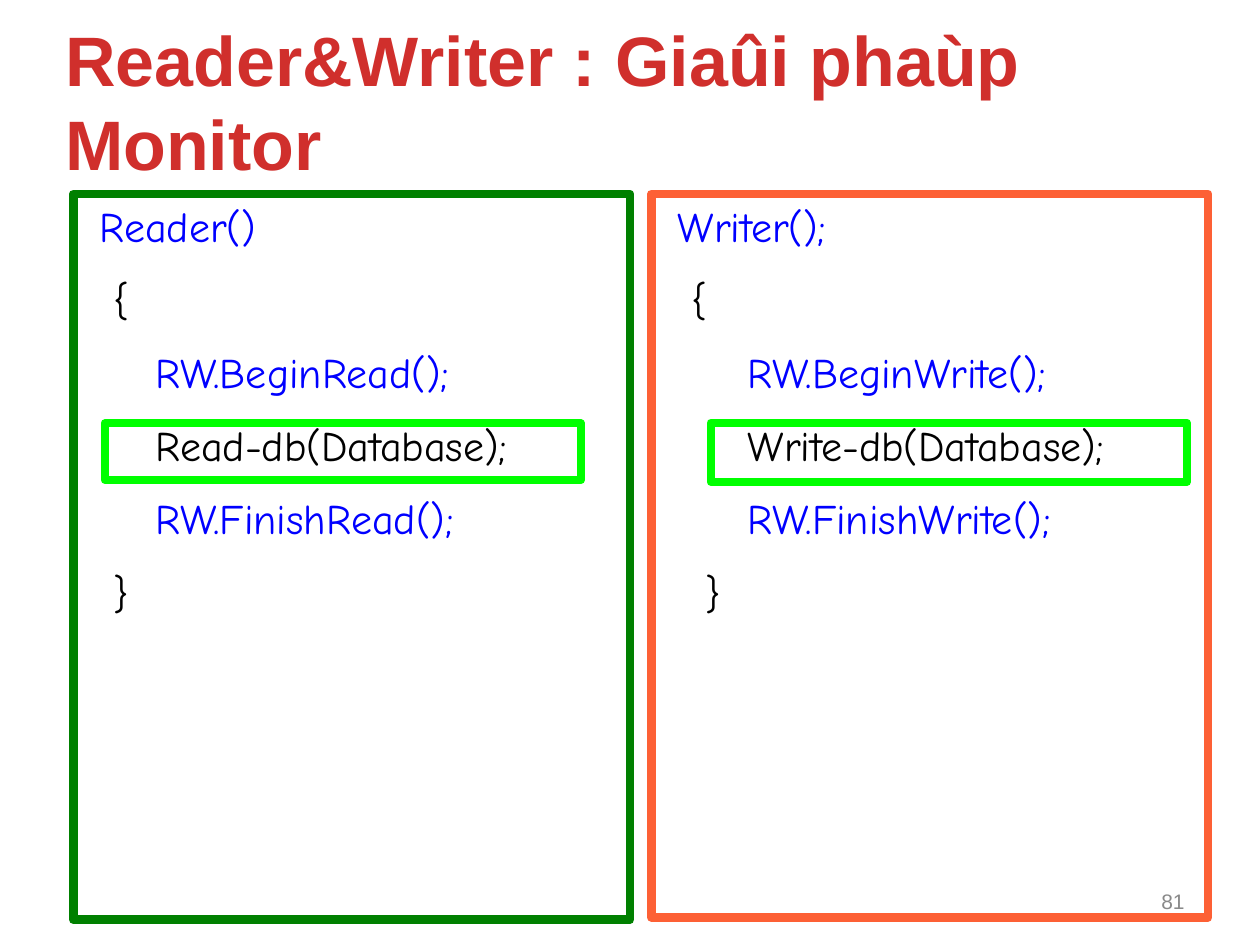
from pptx import Presentation
from pptx.dml.color import RGBColor
from pptx.enum import shapes, text
from pptx.util import Pt

RED = RGBColor(0xD0, 0x2F, 0x2C)
GREEN = RGBColor(0x00, 0x80, 0x00)
ORANGE = RGBColor(0xFD, 0x60, 0x35)
LIME = RGBColor(0x00, 0xFF, 0x00)
BLUE = RGBColor(0x00, 0x00, 0xFF)
BLACK = RGBColor(0x00, 0x00, 0x00)
GRAY = RGBColor(0x89, 0x89, 0x89)

TITLE = "Reader&Writer : Giaûi phaùp Monitor"
PAGE_NUMBER = "81"
INDENT_STEP = 8

PANELS = [
    {"box": (41.8, 110.9, 318.2, 414.7), "color": GREEN,
     "highlight": (59.8, 241.9, 272.2, 32.4),
     "lines": [("Reader()", 1, BLUE), ("{", 2, BLACK),
               ("RW.BeginRead();", 5, BLUE), ("Read-db(Database);", 5, BLACK),
               ("RW.FinishRead();", 5, BLUE), ("}", 2, BLACK)]},
    {"box": (372.2, 110.9, 318.2, 413.3), "color": ORANGE,
     "highlight": (406.1, 241.6, 272.2, 33.8),
     "lines": [("Writer();", 1, BLUE), ("{", 2, BLACK),
               ("RW.BeginWrite();", 6, BLUE), ("Write-db(Database);", 6, BLACK),
               ("RW.FinishWrite();", 6, BLUE), ("}", 3, BLACK)]},
]


def add_frame(slide, box, color, width):
    shape = slide.shapes.add_shape(shapes.MSO_SHAPE.RECTANGLE, *map(Pt, box))
    shape.shadow.inherit = False
    shape.fill.background()
    shape.line.color.rgb = color
    shape.line.width = Pt(width)
    return shape


def style(paragraph, name, size, color, bold=False):
    font = paragraph.runs[0].font
    font.name, font.size, font.bold = name, Pt(size), bold
    font.color.rgb = color


def add_label(slide, box, content, size, color, alignment, bold=False):
    frame = slide.shapes.add_textbox(*map(Pt, box)).text_frame
    frame.word_wrap = True
    frame.vertical_anchor = text.MSO_ANCHOR.MIDDLE
    frame.text = content
    paragraph = frame.paragraphs[0]
    paragraph.alignment = alignment
    style(paragraph, "Arial", size, color, bold)
    return paragraph


def add_code(shape, lines):
    frame = shape.text_frame
    frame.word_wrap = True
    frame.vertical_anchor = text.MSO_ANCHOR.TOP
    frame.text = "\n".join(line for line, _, _ in lines)
    for index, (paragraph, (_, level, color)) in enumerate(zip(frame.paragraphs, lines)):
        paragraph.alignment = text.PP_ALIGN.LEFT
        paragraph.space_before = Pt(13 if index else 0)
        properties = paragraph._p.get_or_add_pPr()
        properties.set("marL", str(Pt(level * INDENT_STEP)))
        properties.set("indent", "0")
        style(paragraph, "Comic Neue", 24, color)


def main():
    presentation = Presentation()
    presentation.slide_width, presentation.slide_height = Pt(720), Pt(540)
    slide = presentation.slides.add_slide(presentation.slide_layouts[6])

    title = add_label(slide, (30.2, 12.2, 678.2, 90), TITLE, 40, RED,
                      text.PP_ALIGN.LEFT, bold=True)
    title.line_spacing = Pt(48)
    for panel in PANELS:
        add_code(add_frame(slide, panel["box"], panel["color"], 5), panel["lines"])
    for panel in PANELS:
        add_frame(slide, panel["highlight"], LIME, 4.5)
    add_label(slide, (642.2, 500.4, 41.8, 28.8), PAGE_NUMBER, 12, GRAY,
              text.PP_ALIGN.RIGHT)
    presentation.save("out.pptx")


if __name__ == "__main__":
    main()
